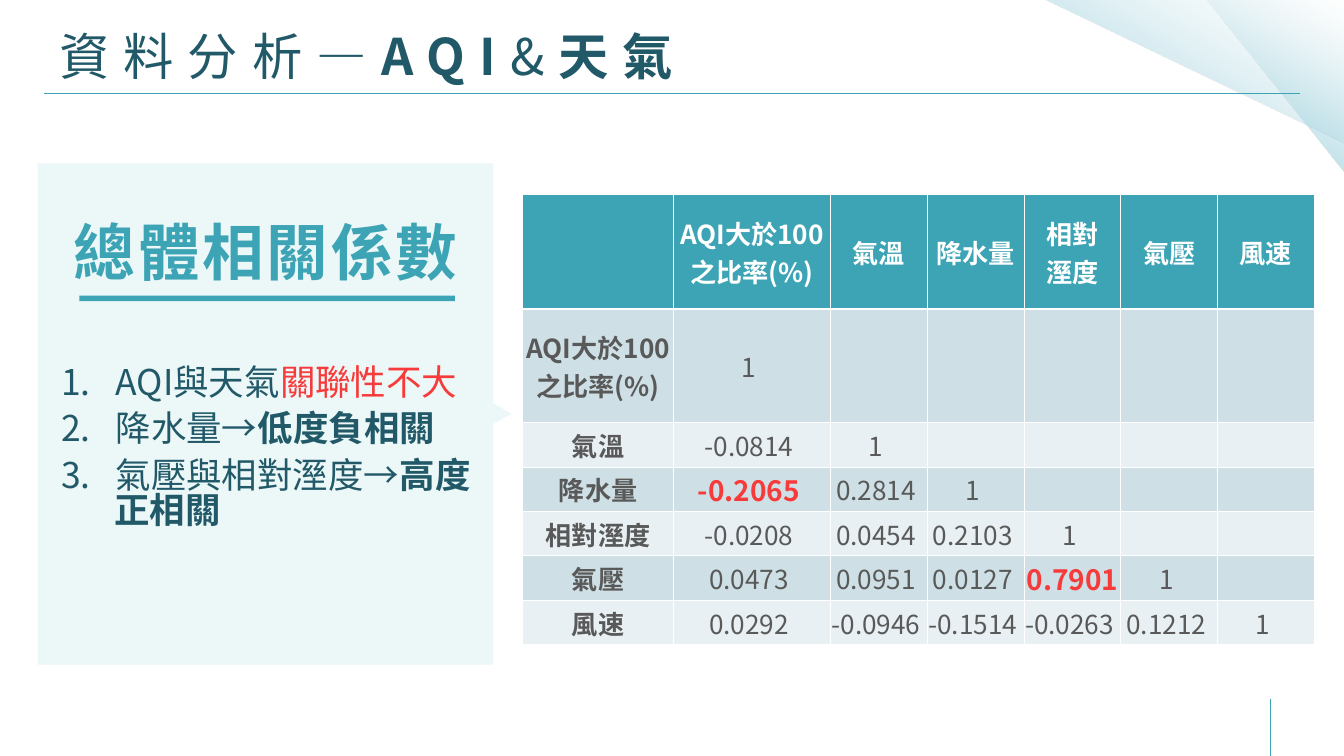
from typing import NamedTuple

from lxml.etree import SubElement
from pptx import Presentation
from pptx.dml.color import RGBColor as RGB
from pptx.enum.shapes import MSO_CONNECTOR as Line, MSO_SHAPE as Shape
from pptx.enum.text import MSO_ANCHOR as Anchor, MSO_AUTO_SIZE as Auto, PP_ALIGN as Align
from pptx.oxml import parse_xml
from pptx.oxml.ns import nsdecls, qn
from pptx.util import Pt

PX = 9144
FONT = "Noto Sans CJK SC"
WHITE = RGB(0xFF, 0xFF, 0xFF)
TEAL = RGB(0x3D, 0xA4, 0xB5)
NAVY = RGB(0x21, 0x59, 0x68)
RED = RGB(0xF7, 0x3B, 0x3B)
GRAY = RGB(0x59, 0x59, 0x59)
MINT = RGB(0xD7, 0xEE, 0xF1)
BAND = RGB(0xCE, 0xE0, 0xE5)
PALE = RGB(0xE8, 0xF0, 0xF3)
FADE = ((0, RGB(0x97, 0xD1, 0xE0), 100), (50, RGB(0xAA, 0xD7, 0xE2), 44),
        (100, RGB(0xE0, 0xF0, 0xF4), 0))


class Box(NamedTuple):
    left: int
    top: int
    width: int
    height: int


class Span(NamedTuple):
    text: str
    size: int
    color: RGB
    bold: bool = False
    space: int = 0


class Item(NamedTuple):
    spans: tuple
    indent: int
    before: int
    number: bool


CORNERS = (Box(1796, 0, 204, 257), Box(1554, 0, 448, 213))
RULES = ((66, 139, 1934, 139), (1891, 1125, 1891, 1040))
TITLE = (Span("資料分析—", 54, NAVY, False, 15), Span("AQI", 54, NAVY, True, 15),
         Span("&", 54, NAVY, False, 15), Span("天氣", 54, NAVY, True, 15))
ITEMS = (
    Item((Span("AQI與天氣", 38, NAVY), Span("關聯性不大", 38, RED)), 81, 12, True),
    Item((Span("降水量→", 38, NAVY), Span("低度負相關", 38, NAVY, True)), 81, 12, True),
    Item((Span("氣壓與相對溼度→", 38, NAVY), Span("高度", 38, NAVY, True)), 81, 12, True),
    Item((Span("正相關", 38, NAVY, True),), 79, 0, False),
)
RATE = "AQI大於100之比率(%)"
HEAD = ("", RATE, "氣溫", "降水量", "相對\n溼度", "氣壓", "風速")
DATA = (
    (RATE, "1"),
    ("氣溫", "-0.0814", "1"),
    ("降水量", "-0.2065", "0.2814", "1"),
    ("相對溼度", "-0.0208", "0.0454", "0.2103", "1"),
    ("氣壓", "0.0473", "0.0951", "0.0127", "0.7901", "1"),
    ("風速", "0.0292", "-0.0946", "-0.1514", "-0.0263", "0.1212", "1"),
)
HOT = ("-0.2065", "0.7901")
COLS = (224, 234) + (144,) * 5
ROWS = (145, 123) + (66,) * 5


def place(shape, box: Box) -> None:
    """Move and size a shape."""
    shape.left, shape.top, shape.width, shape.height = (n * PX for n in box)


def write(para, span: Span) -> None:
    """Add one formatted run to a paragraph."""
    run = para.add_run()
    run.text = span.text
    font = run.font
    font.size, font.bold, font.name = Pt(span.size), span.bold, FONT
    font.color.rgb = span.color
    props = run._r.get_or_add_rPr()
    SubElement(props, qn("a:ea")).set("typeface", FONT)
    if span.space:
        props.set("spc", str(span.space * 100))


def corner(shapes, box: Box) -> None:
    """Draw a fading triangle in the top right corner."""
    tri = shapes.add_shape(Shape.RIGHT_TRIANGLE, *(n * PX for n in box))
    tri.rotation = 180
    tri.shadow.inherit = False
    tri.line.fill.background()
    stops = "".join(
        f'<a:gs pos="{pos * 1000}"><a:srgbClr val="{hue}">'
        f'<a:alpha val="{alpha * 1000}"/></a:srgbClr></a:gs>'
        for pos, hue, alpha in FADE)
    fill = parse_xml(
        f'<a:gradFill {nsdecls("a")} rotWithShape="1"><a:gsLst>{stops}</a:gsLst>'
        f'<a:lin ang="{120 * 60000}" scaled="0"/></a:gradFill>')
    tri._element.spPr.find(qn("a:prstGeom")).addnext(fill)


def rule(shapes, ends: tuple) -> None:
    """Draw a thin teal line."""
    line = shapes.add_connector(Line.STRAIGHT, *(n * PX for n in ends))
    line.line.color.rgb = TEAL
    line.line.width = Pt(1)
    SubElement(line._element.spPr, qn("a:effectLst"))


def panel(shapes) -> None:
    """Draw the tinted panel with its small pointer."""
    path = shapes.build_freeform(734, 600, scale=PX)
    path.add_line_segments(((761, 616), (734, 631)), close=True)
    path.move_to(56, 243)
    path.add_line_segments(((734, 243), (734, 989), (56, 989)), close=True)
    card = path.convert_to_shape()
    card.shadow.inherit = False
    card.line.fill.background()
    card.fill.solid()
    card.fill.fore_color.rgb = MINT
    tint = next(card._element.spPr.iter(qn("a:srgbClr")))
    SubElement(tint, qn("a:alpha")).set("val", "45000")


def border(cell, row: int) -> None:
    """Give a cell white borders, thick below the header."""
    props = cell._tc.get_or_add_tcPr()
    for side in "LRTB":
        thick = (row, side) in ((0, "B"), (1, "T"))
        edge = SubElement(props, qn(f"a:ln{side}"), w=str(Pt(3 if thick else 1)))
        fill = SubElement(edge, qn("a:solidFill"))
        SubElement(fill, qn("a:srgbClr"), val=str(WHITE))


def fill_cell(cell, row: int, col: int, text: str) -> None:
    """Format one table cell and write its text."""
    border(cell, row)
    cell.fill.solid()
    cell.fill.fore_color.rgb = TEAL if row == 0 else BAND if row % 2 else PALE
    cell.margin_left = cell.margin_right = cell.margin_top = PX
    cell.margin_bottom = 0
    cell.vertical_anchor = Anchor.MIDDLE
    if not text:
        return
    label = row == 0 or col == 0
    hot = text in HOT
    hue = WHITE if row == 0 else RED if hot else GRAY
    for i, part in enumerate(text.split("\n")):
        para = cell.text_frame.add_paragraph() if i else cell.text_frame.paragraphs[0]
        para.alignment = Align.CENTER
        write(para, Span(part if label else f"{part} ", 30 if hot else 28, hue, label or hot))


def grid(shapes) -> None:
    """Draw the correlation table."""
    table = shapes.add_table(len(ROWS), len(COLS), 778 * PX, 290 * PX,
                             sum(COLS) * PX, sum(ROWS) * PX).table
    for col, width in zip(table.columns, COLS):
        col.width = width * PX
    for row, height in zip(table.rows, ROWS):
        row.height = height * PX
    for r, line in enumerate((HEAD,) + DATA):
        for c in range(len(COLS)):
            fill_cell(table.cell(r, c), r, c, line[c] if c < len(line) else "")


def points(body) -> None:
    """Write the numbered findings."""
    place(body, Box(81, 541, 635, 300))
    frame = body.text_frame
    frame.word_wrap, frame.auto_size = False, Auto.NONE
    for i, item in enumerate(ITEMS):
        para = frame.add_paragraph() if i else frame.paragraphs[0]
        para.alignment = Align.LEFT
        para.space_before, para.line_spacing = Pt(item.before), 0.83
        props = para._p.get_or_add_pPr()
        props.set("marL", str(item.indent * PX))
        props.set("indent", str(-item.indent * PX if item.number else 0))
        if item.number:
            SubElement(props, qn("a:buFont"), typeface="+mj-lt")
            SubElement(props, qn("a:buAutoNum"), type="arabicPeriod")
        else:
            SubElement(props, qn("a:buNone"))
        for span in item.spans:
            write(para, span)


def main() -> None:
    """Build the slide and save it."""
    deck = Presentation()
    deck.slide_width, deck.slide_height = 2000 * PX, 1125 * PX
    slide = deck.slides.add_slide(deck.slide_layouts[1])
    shapes = slide.shapes
    title, body = slide.placeholders
    for box in CORNERS:
        corner(shapes, box)
    for ends in RULES:
        rule(shapes, ends)

    place(title, Box(70, 21, 1831, 123))
    frame = title.text_frame
    frame.auto_size, frame.vertical_anchor = Auto.NONE, Anchor.MIDDLE
    frame.margin_left = frame.margin_right = 18 * PX
    frame.margin_top = frame.margin_bottom = 9 * PX
    frame.paragraphs[0].alignment = Align.LEFT
    for span in TITLE:
        write(frame.paragraphs[0], span)
    shapes._spTree.append(title._element)

    panel(shapes)
    grid(shapes)
    points(body)
    shapes._spTree.append(body._element)

    head = shapes.add_textbox(*(n * PX for n in (100, 326, 601, 121)))
    head.text_frame.word_wrap = False
    para = head.text_frame.paragraphs[0]
    para.line_spacing = 0.9
    write(para, Span("總體相關係數", 66, TEAL, True, 3))

    bar = shapes.add_shape(Shape.RECTANGLE, *(n * PX for n in (118, 440, 559, 8)))
    bar.shadow.inherit = False
    bar.line.fill.background()
    bar.fill.solid()
    bar.fill.fore_color.rgb = TEAL
    deck.save("out.pptx")


if __name__ == "__main__":
    main()
